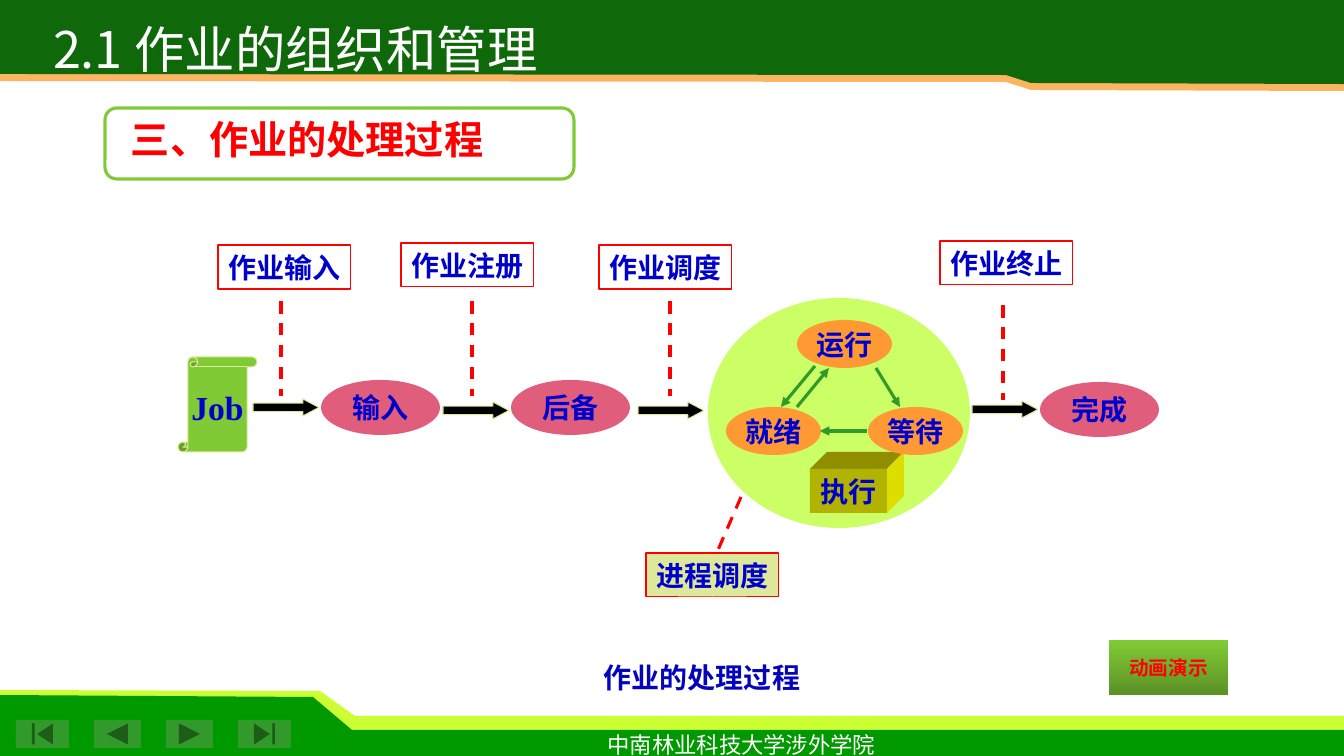
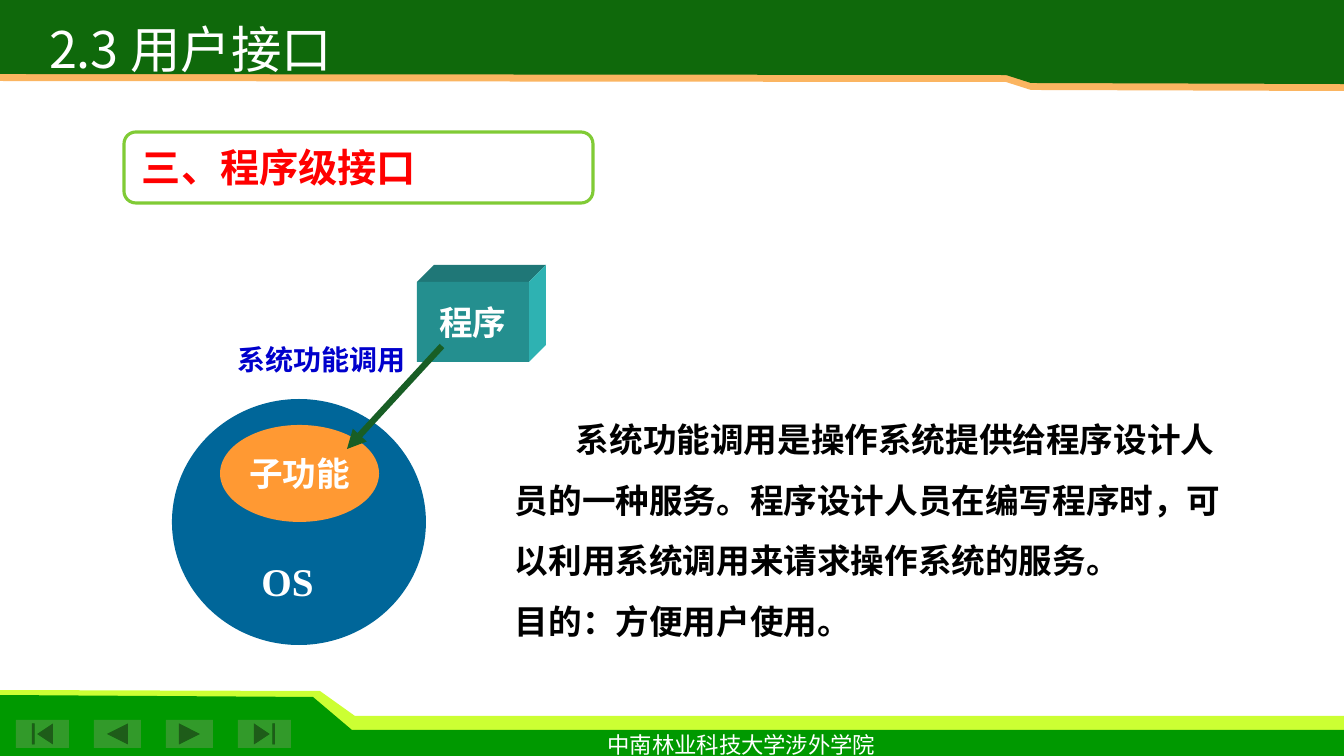
from dataclasses import dataclass
from typing import NamedTuple, Optional

from lxml import etree
from pptx import Presentation
from pptx import util as u
from pptx.dml.color import RGBColor
from pptx.enum import dml, shapes, text
from pptx.oxml.ns import qn

EMU_PER_PIXEL = 914400 / 100.8
WIDTH, HEIGHT = 1344, 756

# Colours
WHITE = RGBColor(0xFF, 0xFF, 0xFF)
BLACK = RGBColor(0, 0, 0)
RED = RGBColor(0xFF, 0, 0)
BLUE = RGBColor(0, 0, 0xCC)
CAPTION_BLUE = RGBColor(0x04, 0x04, 0xBC)
HEADER_GREEN = RGBColor(0x0F, 0x69, 0x0B)
HEADER_EDGE = RGBColor(0xFB, 0xB5, 0x61)
FOOTER_GREEN = RGBColor(0, 0x99, 0)
FOOTER_EDGE = RGBColor(0xCC, 0xFF, 0x33)
BUTTON_GREEN = RGBColor(0x32, 0x9A, 0x2A)
LEAF = RGBColor(0x80, 0xCB, 0x35)
DARK_LEAF = RGBColor(0x5C, 0x91, 0x26)
PALE_GREEN = RGBColor(0xDD, 0xE8, 0x9A)
LIME = RGBColor(0xCC, 0xFF, 0x66)
ROSE = RGBColor(0xE1, 0x5D, 0x7C)
ORANGE = RGBColor(0xFF, 0x99, 0x33)
OCEAN = RGBColor(0, 0x66, 0x99)
CALL_GREEN = RGBColor(0x18, 0x5E, 0x25)
# Cube colours: front, top, side
OLIVE_CUBE = (RGBColor(0xB2, 0xB2, 0), RGBColor(0x8E, 0x8E, 0), RGBColor(0xDD, 0xDD, 0))
TEAL_CUBE = (RGBColor(0x24, 0x8F, 0x8F), RGBColor(0x1F, 0x77, 0x77), RGBColor(0x2E, 0xB2, 0xB2))

SERIF, SANS, TITLE_FONT = "Times New Roman", "Arial", "Noto Sans CJK SC"
EAST_ASIAN = {SERIF: SANS, SANS: SANS, TITLE_FONT: TITLE_FONT}
KIND = shapes.MSO_SHAPE


class Box(NamedTuple):
    left: int
    top: int
    width: int
    height: int


class Style(NamedTuple):
    size: int
    color: RGBColor
    font: str = SERIF
    bold: bool = True


@dataclass
class Item:
    kind: shapes.MSO_SHAPE
    box: Box
    fill: Optional[RGBColor] = None
    line: Optional[RGBColor] = None
    words: str = ""
    style: Style = Style(20, BLUE)
    line_width: float = 0.75
    adjustments: tuple = ()


@dataclass
class Line:
    start: tuple
    end: tuple
    color: RGBColor
    width: float = 2.25
    dashed: bool = False


def px(value: float) -> int:
    return u.Emu(round(value * EMU_PER_PIXEL))


def add_run(paragraph, words: str, style: Style) -> None:
    run = paragraph.add_run()
    run.text = words
    run.font.size = u.Pt(style.size)
    run.font.bold = style.bold
    run.font.name = style.font
    run.font.color.rgb = style.color
    east_asian = etree.SubElement(run.font._element, qn("a:ea"))
    east_asian.set("typeface", EAST_ASIAN[style.font])


def add_words(shape, words: str, style: Style, align=text.PP_ALIGN.CENTER,
              anchor=text.MSO_ANCHOR.MIDDLE, wrap: bool = False) -> None:
    frame = shape.text_frame
    frame.auto_size = text.MSO_AUTO_SIZE.NONE
    frame.word_wrap = wrap
    frame.vertical_anchor = anchor
    paragraph = frame.paragraphs[0]
    paragraph.alignment = align
    add_run(paragraph, words, style)


def add_text(slide, box: Box, words: str, style: Style,
             align=text.PP_ALIGN.CENTER, wrap: bool = False):
    shape = slide.shapes.add_textbox(*map(px, box))
    add_words(shape, words, style, align, text.MSO_ANCHOR.TOP, wrap)
    return shape


def add_item(slide, item: Item):
    shape = slide.shapes.add_shape(item.kind, *map(px, item.box))
    shape.shadow.inherit = False
    for index, value in enumerate(item.adjustments):
        shape.adjustments[index] = value
    if item.fill is None:
        shape.fill.background()
    else:
        shape.fill.solid()
        shape.fill.fore_color.rgb = item.fill
    if item.line is None:
        shape.line.fill.background()
    else:
        shape.line.color.rgb = item.line
        shape.line.width = u.Pt(item.line_width)
    if item.words:
        add_words(shape, item.words, item.style)
    return shape


def add_outline(slide, points: list, color: RGBColor) -> None:
    builder = slide.shapes.build_freeform(*points[0], scale=EMU_PER_PIXEL)
    builder.add_line_segments(points[1:], close=True)
    shape = builder.convert_to_shape()
    shape.shadow.inherit = False
    shape.fill.solid()
    shape.fill.fore_color.rgb = color
    shape.line.fill.background()


def add_line(slide, line: Line) -> None:
    connector = slide.shapes.add_connector(
        shapes.MSO_CONNECTOR.STRAIGHT, *map(px, line.start + line.end))
    connector.line.color.rgb = line.color
    connector.line.width = u.Pt(line.width)
    if line.dashed:
        connector.line.dash_style = dml.MSO_LINE.DASH
    else:
        tail = etree.SubElement(connector.line._get_or_add_ln(), qn("a:tailEnd"))
        tail.set("type", "triangle")
    etree.SubElement(connector.element.spPr, qn("a:effectLst"))


def add_cube(slide, front: Box, colors: tuple, words: str, style: Style) -> None:
    depth = 17
    left, top, right, bottom = front.left, front.top, front.left + front.width, front.top + front.height
    front_color, top_color, side_color = colors
    add_outline(slide, [(left, top), (left + depth, top - depth),
                        (right + depth, top - depth), (right, top)], top_color)
    add_outline(slide, [(right, top), (right + depth, top - depth),
                        (right + depth, bottom - depth), (right, bottom)], side_color)
    add_item(slide, Item(KIND.RECTANGLE, front, front_color, words=words, style=style))


# Parts shared by all slides
def header_points(left_edge: int) -> list:
    return [(WIDTH, 0), (0, 0), (0, left_edge), (1006, left_edge + 1),
            (1031, left_edge + 9), (WIDTH, left_edge + 10)]


BANDS = [
    ([(0, 746), (WIDTH, 746), (WIDTH, 716), (355, 716), (320, 691), (0, 690)], FOOTER_EDGE),
    ([(0, HEIGHT), (WIDTH, HEIGHT), (WIDTH, 730), (352, 730), (313, 697), (0, 695)], FOOTER_GREEN),
    (header_points(81), HEADER_EDGE),
    (header_points(74), HEADER_GREEN),
]
NAVIGATION = [
    (KIND.ACTION_BUTTON_BEGINNING, 16, 53),
    (KIND.ACTION_BUTTON_BACK_OR_PREVIOUS, 94, 47),
    (KIND.ACTION_BUTTON_FORWARD_OR_NEXT, 166, 47),
    (KIND.ACTION_BUTTON_END, 238, 53),
]


def start_slide(presentation, title: str, title_box: Box):
    slide = presentation.slides.add_slide(presentation.slide_layouts[5])
    for points, color in BANDS:
        add_outline(slide, points, color)
    for kind, left, width in NAVIGATION:
        add_item(slide, Item(kind, Box(left, 720, width, 28), BUTTON_GREEN))
    add_text(slide, Box(596, 726, 291, 37), "中南林业科技大学涉外学院", Style(16, WHITE, bold=False))

    placeholder = slide.shapes.title
    placeholder.left, placeholder.top, placeholder.width, placeholder.height = map(px, title_box)
    frame = placeholder.text_frame
    frame.margin_left = frame.margin_right = frame.margin_top = frame.margin_bottom = 0
    add_words(placeholder, title, Style(36, WHITE, TITLE_FONT, False),
              text.PP_ALIGN.LEFT, text.MSO_ANCHOR.TOP)
    slide.shapes.element.append(placeholder.element)
    return slide


def add_section(slide, frame: Box, words_box: Box, words: str) -> None:
    add_item(slide, Item(KIND.ROUNDED_RECTANGLE, frame, WHITE, LEAF,
                         line_width=2.25, adjustments=(0.167,)))
    add_text(slide, words_box, words, Style(28, RED, SANS), text.PP_ALIGN.LEFT, True)


def build_job_slide(presentation) -> None:
    slide = start_slide(presentation, "2.1 作业的组织和管理", Box(53, 18, 560, 56))

    # Job stages
    add_item(slide, Item(KIND.OVAL, Box(708, 298, 262, 230), LIME))
    add_cube(slide, Box(810, 469, 77, 44), OLIVE_CUBE, "执行", Style(20, BLUE))
    add_item(slide, Item(KIND.VERTICAL_SCROLL, Box(178, 357, 79, 95), LEAF, PALE_GREEN,
                         "Job", Style(24, BLUE), adjustments=(0.125,)))
    for left, top, words in [(321, 380, "输入"), (511, 380, "后备"), (1040, 382, "完成")]:
        add_item(slide, Item(KIND.OVAL, Box(left, top, 119, 55), ROSE, words=words))
    for left, top in [(253, 399), (443, 402), (638, 402), (972, 401)]:
        add_item(slide, Item(KIND.RIGHT_ARROW, Box(left, top, 66, 17), BLACK, PALE_GREEN,
                             adjustments=(0.5, 0.953)))

    # Process states
    for left, top, words in [(797, 320, "运行"), (726, 407, "就绪"), (868, 407, "等待")]:
        add_item(slide, Item(KIND.OVAL, Box(left, top, 95, 48), ORANGE, words=words))
    for start, end in [((815, 366), (781, 407)), ((797, 407), (829, 368)),
                       ((876, 368), (900, 407)), ((867, 431), (820, 431))]:
        add_line(slide, Line(start, end, BUTTON_GREEN))

    # Scheduling labels and their dashed leaders
    for left, top, words, fill, start, end in [
        (218, 245, "作业输入", None, (281, 301), (281, 396)),
        (401, 243, "作业注册", None, (472, 301), (472, 396)),
        (599, 245, "作业调度", None, (670, 301), (670, 396)),
        (940, 241, "作业终止", None, (1003, 305), (1003, 400)),
        (646, 553, "进程调度", PALE_GREEN, (741, 497), (718, 550)),
    ]:
        add_item(slide, Item(KIND.RECTANGLE, Box(left, top, 133, 44), fill, RED, words))
        add_line(slide, Line(start, end, RED, dashed=True))

    add_section(slide, Box(105, 108, 469, 71), Box(121, 110, 450, 57), "三、作业的处理过程")
    add_text(slide, Box(592, 656, 220, 44), "作业的处理过程", Style(20, CAPTION_BLUE))
    demo = add_item(slide, Item(KIND.ACTION_BUTTON_CUSTOM, Box(1109, 640, 119, 55), LEAF,
                                words="动画演示", style=Style(14, RED)))
    demo.fill.gradient()
    demo.fill.gradient_angle = 270
    for stop, color, position in zip(demo.fill.gradient_stops, (LEAF, DARK_LEAF), (0, 1)):
        stop.color.rgb = color
        stop.position = position


def build_interface_slide(presentation) -> None:
    slide = start_slide(presentation, "2.3 用户接口", Box(49, 18, 360, 56))

    # System and its function
    white_text = Style(24, WHITE)
    add_item(slide, Item(KIND.OVAL, Box(172, 399, 254, 246), OCEAN))
    add_item(slide, Item(KIND.OVAL, Box(220, 425, 159, 97), ORANGE,
                         words="子功能", style=white_text))
    add_text(slide, Box(235, 552, 105, 57), "OS", Style(28, WHITE), wrap=True)

    # Explanation
    body_style = Style(24, BLACK)
    body = add_text(
        slide, Box(505, 394, 746, 247),
        "系统功能调用是操作系统提供给程序设计人员的一种服务。程序设计人员在编写程序时，可以利用系统调用来请求操作系统的服务。",
        body_style, text.PP_ALIGN.LEFT, True)
    add_run(body.text_frame.add_paragraph(), "目的：方便用户使用。", body_style)
    for paragraph in body.text_frame.paragraphs:
        paragraph.line_spacing = 1.5
    body.text_frame.paragraphs[0]._p.get_or_add_pPr().set("indent", str(px(61)))

    # Program calling the system
    add_cube(slide, Box(417, 282, 112, 80), TEAL_CUBE, "程序", white_text)
    add_line(slide, Line((442, 346), (347, 449), CALL_GREEN, 4.5))
    add_text(slide, Box(227, 338, 190, 44), "系统功能调用", Style(20, BLUE))
    add_section(slide, Box(124, 132, 469, 71), Box(132, 138, 450, 57), "三、程序级接口")


presentation = Presentation()
presentation.slide_width, presentation.slide_height = px(WIDTH), px(HEIGHT)
build_job_slide(presentation)
build_interface_slide(presentation)
presentation.save("out.pptx")
